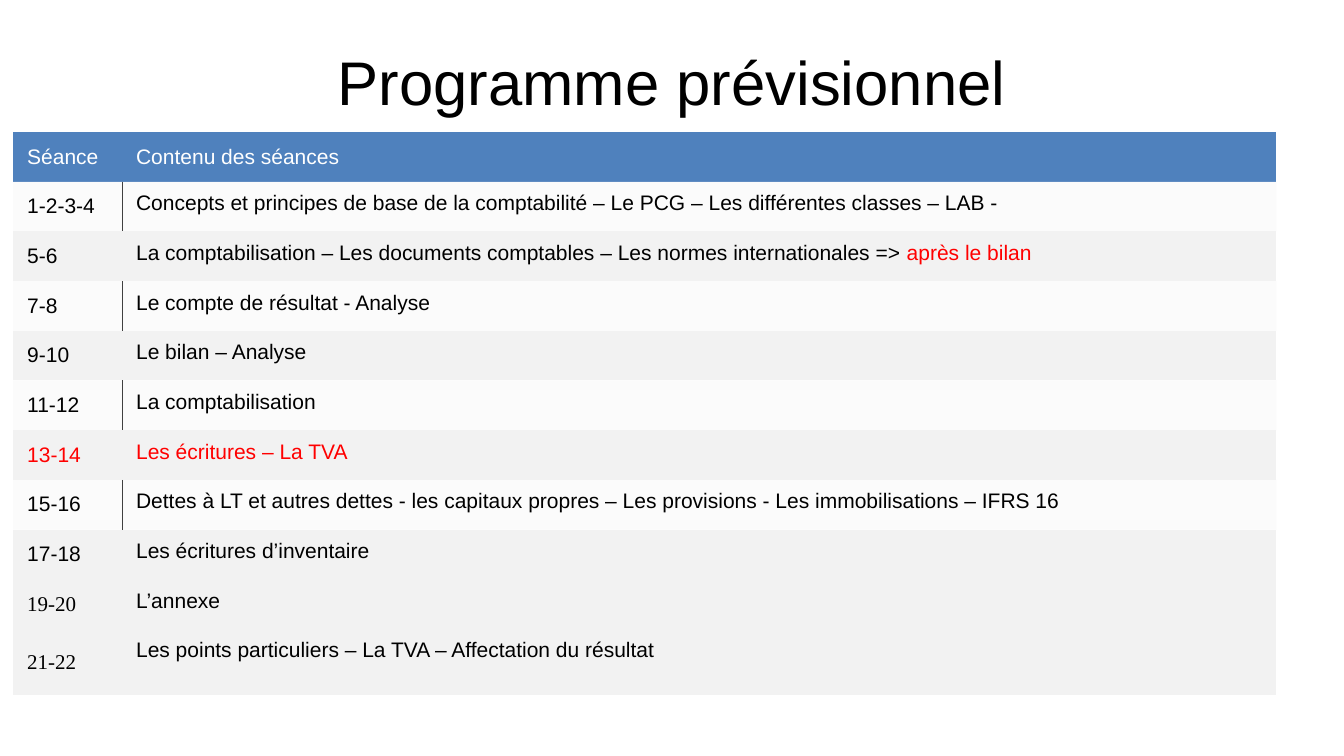
from lxml import etree
from pptx import Presentation
from pptx import util as u
from pptx.dml.color import RGBColor
from pptx.enum import text
from pptx.oxml.ns import qn

BLACK = RGBColor(0x00, 0x00, 0x00)
WHITE = RGBColor(0xFF, 0xFF, 0xFF)
RED = RGBColor(0xFF, 0x00, 0x00)
BLUE = RGBColor(0x4F, 0x81, 0xBD)
GREY = RGBColor(0xF2, 0xF2, 0xF2)
DIVIDER = RGBColor(0x40, 0x40, 0x40)

SANS, SERIF = "Arial", "Times New Roman"
NO_STYLE = "{2D5ABB26-0587-4C30-8999-92F81FD0307C}"

# Slide and table grid, in inches
SLIDE_WIDTH, SLIDE_HEIGHT = 13.33, 7.5
COLUMNS = (1.08, 11.45)
TABLE_LEFT, TABLE_TOP = 0.13, 1.31
EVEN_ROWS_HEIGHT, LAST_ROW_HEIGHT = 4.93, 0.66
CELL_FORMAT = {
    "margin_left": u.Inches(0.14),
    "margin_right": u.Inches(0.08),
    "margin_top": u.Inches(0.1),
    "margin_bottom": u.Inches(0.1),
}

# Session label, its font, its colour, then the content as (text, colour) runs
SESSIONS = [
    ("1-2-3-4", SANS, BLACK, [("Concepts et principes de base de la comptabilité – Le PCG – "
                               "Les différentes classes – LAB -", BLACK)]),
    ("5-6", SANS, BLACK, [("La comptabilisation – Les documents comptables – "
                           "Les normes internationales => ", BLACK),
                          ("après le bilan", RED)]),
    ("7-8", SANS, BLACK, [("Le compte de résultat - Analyse", BLACK)]),
    ("9-10", SANS, BLACK, [("Le bilan – Analyse", BLACK)]),
    ("11-12", SANS, BLACK, [("La comptabilisation", BLACK)]),
    ("13-14", SANS, RED, [("Les écritures – La TVA", RED)]),
    ("15-16", SANS, BLACK, [("Dettes à LT et autres dettes - les capitaux propres – "
                             "Les provisions - Les immobilisations – IFRS 16", BLACK)]),
    ("17-18", SANS, BLACK, [("Les écritures d’inventaire", BLACK)]),
    ("19-20", SERIF, BLACK, [("L’annexe", BLACK)]),
    ("21-22", SERIF, BLACK, [("Les points particuliers – La TVA – "
                              "Affectation du résultat", BLACK)]),
]
PALE_SESSIONS = (0, 2, 4, 6)


def apply_format(target, values):
    for name, value in values.items():
        setattr(target, name, value)


def write_runs(paragraph, runs, size, font_name, alignment):
    paragraph.alignment = alignment
    for content, color in runs:
        run = paragraph.add_run()
        run.text = content
        apply_format(run.font, {"size": u.Pt(size), "name": font_name})
        run.font.color.rgb = color


def add_title(slide, content):
    box = slide.shapes.add_textbox(
        u.Inches(SLIDE_WIDTH * 0.05), u.Inches(SLIDE_HEIGHT * 0.04),
        u.Inches(SLIDE_WIDTH * 0.9), u.Inches(1))
    apply_format(box.text_frame, {"word_wrap": True,
                                  "vertical_anchor": text.MSO_ANCHOR.MIDDLE})
    write_runs(box.text_frame.paragraphs[0], [(content, BLACK)], 44, SANS,
               text.PP_ALIGN.CENTER)


def fill_cell(cell, runs, fill, font_name=SANS, anchor=text.MSO_ANCHOR.MIDDLE,
              alignment=text.PP_ALIGN.LEFT):
    apply_format(cell, {**CELL_FORMAT, "vertical_anchor": anchor})
    cell.fill.solid()
    cell.fill.fore_color.rgb = fill
    write_runs(cell.text_frame.paragraphs[0], runs, 15, font_name, alignment)


def make_pale(cell, side):
    """Fade the fill to 30 % and draw the divider on one side of the cell."""
    properties = cell._tc.get_or_add_tcPr()
    fill_color = properties.find(qn("a:solidFill")).find(qn("a:srgbClr"))
    etree.SubElement(fill_color, qn("a:alpha"), val="30000")
    line = etree.Element(qn(f"a:ln{side}"), w=str(u.Pt(0.5)))
    line_fill = etree.SubElement(line, qn("a:solidFill"))
    etree.SubElement(line_fill, qn("a:srgbClr"), val=str(DIVIDER))
    properties.insert(0, line)


def add_programme(slide):
    row_count = len(SESSIONS) + 1
    frame = slide.shapes.add_table(
        row_count, len(COLUMNS), u.Inches(TABLE_LEFT), u.Inches(TABLE_TOP),
        u.Inches(sum(COLUMNS)), u.Inches(EVEN_ROWS_HEIGHT + LAST_ROW_HEIGHT))
    next(frame.element.iter(qn("a:tableStyleId"))).text = NO_STYLE
    table = frame.table
    table.horz_banding = False

    # Column widths and row heights
    for column, width in zip(table.columns, COLUMNS):
        column.width = u.Inches(width)
    for row in table.rows:
        row.height = u.Inches(EVEN_ROWS_HEIGHT / (row_count - 1))
    table.rows[row_count - 1].height = u.Inches(LAST_ROW_HEIGHT)

    # Header
    for index, heading in enumerate(("Séance", "Contenu des séances")):
        fill_cell(table.cell(0, index), [(heading, WHITE)], BLUE)

    # Sessions
    for index, (label, font_name, color, runs) in enumerate(SESSIONS):
        label_cell, content_cell = (table.cell(index + 1, column) for column in (0, 1))
        fill_cell(label_cell, [(label, color)], GREY, font_name)
        fill_cell(content_cell, runs, GREY, anchor=text.MSO_ANCHOR.TOP,
                  alignment=text.PP_ALIGN.JUSTIFY)
        if index in PALE_SESSIONS:
            make_pale(label_cell, "R")
            make_pale(content_cell, "L")


def main():
    presentation = Presentation()
    apply_format(presentation, {"slide_width": u.Inches(SLIDE_WIDTH),
                                "slide_height": u.Inches(SLIDE_HEIGHT)})
    slide = presentation.slides.add_slide(presentation.slide_layouts[6])
    add_title(slide, "Programme prévisionnel")
    add_programme(slide)
    presentation.save("out.pptx")


if __name__ == "__main__":
    main()
